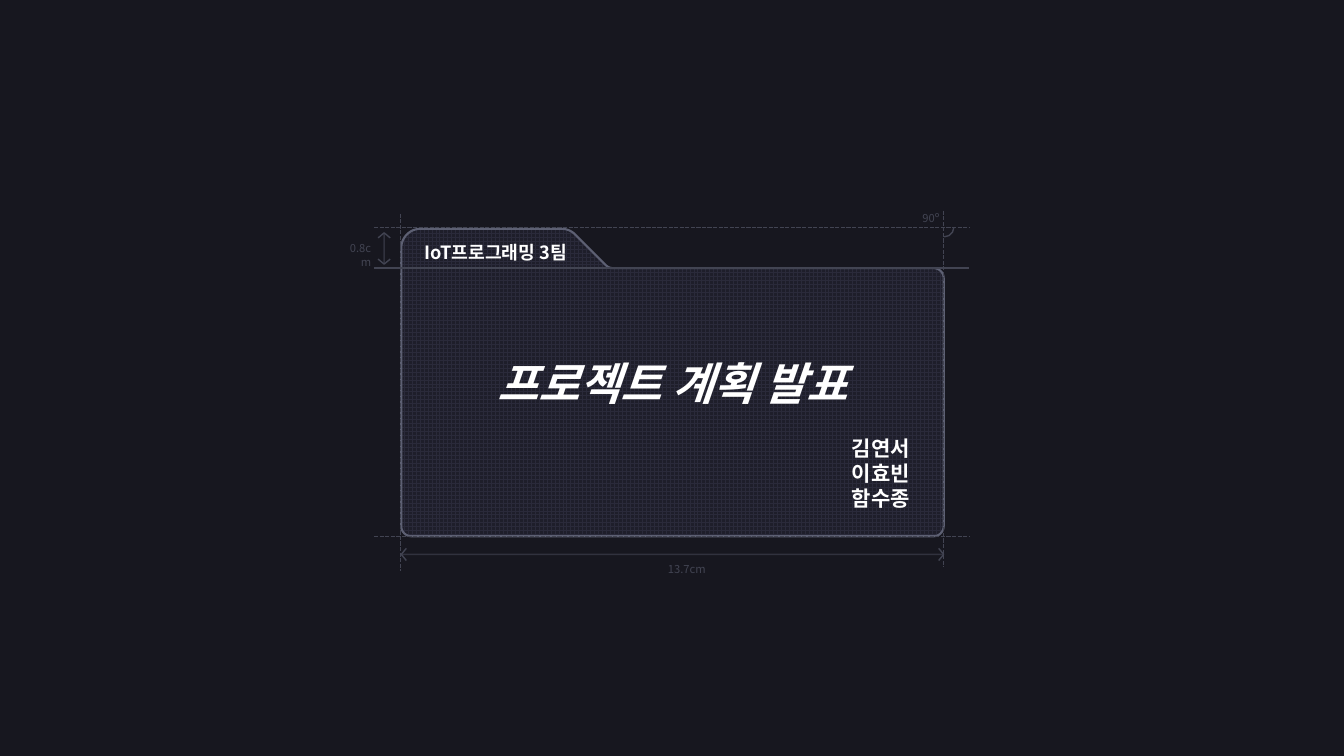
"""Build a dark cover slide with a blueprint-style folder and its dimensions."""
import math

from lxml import etree
from pptx import Presentation, util as u
from pptx.dml.color import RGBColor
from pptx.enum import dml, shapes, text
from pptx.oxml import ns

FONT = "Noto Sans CJK KR"
BACKGROUND = RGBColor(0x17, 0x17, 0x1F)
FOLDER_FILL = RGBColor(0x1E, 0x1E, 0x2A)
FOLDER_GRID = RGBColor(0x2A, 0x2A, 0x3A)
FOLDER_EDGE = RGBColor(0x5D, 0x60, 0x73)
GUIDE = RGBColor(0x42, 0x44, 0x52)
WHITE = RGBColor(0xFF, 0xFF, 0xFF)

LEFT, RIGHT = 3.98, 9.36
TOP, SHOULDER, BOTTOM = 2.27, 2.66, 5.32
GUIDE_LEFT, GUIDE_RIGHT = 3.71, 9.61
HEIGHT_X, WIDTH_Y = 3.81, 5.5
TAB_RADIUS, RADIUS = 0.19, 0.1

presentation = Presentation()
presentation.slide_width = u.Inches(13.33)
presentation.slide_height = u.Inches(7.5)
slide = presentation.slides.add_slide(presentation.slide_layouts[5])
slide.background.fill.solid()
slide.background.fill.fore_color.rgb = BACKGROUND


def add_outline(points, close, color, width):
    points = [(u.Inches(x), u.Inches(y)) for x, y in points]
    builder = slide.shapes.build_freeform(*points[0])
    builder.add_line_segments(points[1:], close=close)
    shape = builder.convert_to_shape()
    shape.shadow.inherit = False
    shape.fill.background()
    shape.line.color.rgb = color
    shape.line.width = u.Pt(width)
    return shape


def write_lines(frame, lines, size, color, align, bold=False, italic=False):
    for index, line in enumerate(lines):
        paragraph = frame.add_paragraph() if index else frame.paragraphs[0]
        paragraph.alignment = align
        run = paragraph.add_run()
        run.text = line
        run.font.name = FONT
        run.font.size = u.Pt(size)
        run.font.bold = bold
        run.font.italic = italic
        run.font.color.rgb = color
        east_asian = etree.SubElement(run.font._element, ns.qn("a:ea"))
        east_asian.set("typeface", FONT)


corners = [
    (LEFT + TAB_RADIUS, TOP + TAB_RADIUS, TAB_RADIUS, 180, 270),
    (5.57, TOP + TAB_RADIUS, TAB_RADIUS, 270, 315),
    (6.08, SHOULDER - RADIUS, RADIUS, 135, 90),
    (RIGHT - RADIUS, SHOULDER + RADIUS, RADIUS, 270, 360),
    (RIGHT - RADIUS, BOTTOM - RADIUS, RADIUS, 0, 90),
    (LEFT + RADIUS, BOTTOM - RADIUS, RADIUS, 90, 180),
]
STEPS = 12
folder_points = []
for center_x, center_y, radius, start, end in corners:
    for step in range(STEPS + 1):
        angle = math.radians(start + (end - start) * step / STEPS)
        folder_points.append((center_x + radius * math.cos(angle),
                              center_y + radius * math.sin(angle)))
folder = add_outline(folder_points, True, FOLDER_EDGE, 1.5)
folder.fill.patterned()
folder.fill.pattern = dml.MSO_PATTERN.LARGE_GRID
folder.fill.fore_color.rgb = FOLDER_GRID
folder.fill.back_color.rgb = FOLDER_FILL

DASHED, SOLID, FAINT = "dashed", "solid", "faint"
guides = [
    (LEFT - 0.01, 2.12, LEFT - 0.01, 5.66, DASHED),
    (GUIDE_LEFT, TOP - 0.01, GUIDE_RIGHT, TOP - 0.01, DASHED),
    (RIGHT, 2.09, RIGHT, 5.63, DASHED),
    (GUIDE_LEFT, SHOULDER, GUIDE_RIGHT, SHOULDER, SOLID),
    (GUIDE_LEFT, BOTTOM, GUIDE_RIGHT, BOTTOM, DASHED),
    (HEIGHT_X, 2.31, HEIGHT_X, 2.62, FAINT),
    (LEFT, WIDTH_Y, RIGHT, WIDTH_Y, FAINT),
]
for x1, y1, x2, y2, style in guides:
    guide = slide.shapes.add_connector(
        shapes.MSO_CONNECTOR.STRAIGHT, *map(u.Inches, (x1, y1, x2, y2)))
    guide.line.color.rgb = GUIDE
    guide.line.width = u.Pt(1)
    if style == DASHED:
        guide.line.dash_style = dml.MSO_LINE.SQUARE_DOT
    properties = guide._element.spPr
    if style == FAINT:
        color = properties.find(".//" + ns.qn("a:srgbClr"))
        etree.SubElement(color, ns.qn("a:alpha")).set("val", "61000")
    etree.SubElement(properties, ns.qn("a:effectLst"))

DEPTH, SPREAD = 0.05, 0.06
arrow_tips = [
    (HEIGHT_X, 2.31, 0, 1),
    (HEIGHT_X, 2.62, 0, -1),
    (LEFT, WIDTH_Y, 1, 0),
    (RIGHT, WIDTH_Y, -1, 0),
]
for x, y, dx, dy in arrow_tips:
    base_x, base_y = x + DEPTH * dx, y + DEPTH * dy
    wing_x, wing_y = SPREAD * abs(dy), SPREAD * abs(dx)
    add_outline([(base_x - wing_x, base_y - wing_y), (x, y),
                 (base_x + wing_x, base_y + wing_y)], False, GUIDE, 1)

right_angle = slide.shapes.add_shape(
    shapes.MSO_SHAPE.ARC, *map(u.Inches, (9.27, 2.16, 0.19, 0.19)))
right_angle.adjustments[0] = 1.326
right_angle.adjustments[1] = 53.741
right_angle.shadow.inherit = False
right_angle.fill.background()
right_angle.line.color.rgb = GUIDE
right_angle.line.width = u.Pt(1)

title = slide.shapes.title
title.left, title.top = u.Inches(LEFT), u.Inches(TOP)
title.width, title.height = u.Inches(RIGHT - LEFT), u.Inches(BOTTOM - TOP)
title.text_frame.vertical_anchor = text.MSO_ANCHOR.MIDDLE
title.text_frame.auto_size = text.MSO_AUTO_SIZE.NONE
write_lines(title.text_frame, ["프로젝트 계획 발표"], 32, WHITE,
            text.PP_ALIGN.CENTER, bold=True, italic=True)
slide.shapes._spTree.append(title._element)

labels = [
    ((3.28, 2.35, 0.5, 0.24), ["0.8cm"], 8, GUIDE, text.PP_ALIGN.RIGHT, True),
    ((9.05, 2.05, 0.41, 0.24), ["90º"], 8, GUIDE, text.PP_ALIGN.LEFT, False),
    ((6.47, 5.53, 0.63, 0.24), ["13.7cm"], 8, GUIDE, text.PP_ALIGN.RIGHT, True),
    ((4, 2.34, 1.83, 0.31), ["IoT프로그래밍 3팀"], 13, WHITE,
     text.PP_ALIGN.CENTER, True),
    ((8.35, 4.27, 0.86, 0.85), ["김연서", "이효빈", "함수종"], 15, WHITE,
     text.PP_ALIGN.LEFT, False),
]
for box, lines, size, color, align, wrap in labels:
    label = slide.shapes.add_textbox(*map(u.Inches, box))
    label.text_frame.word_wrap = wrap
    label.text_frame.auto_size = text.MSO_AUTO_SIZE.SHAPE_TO_FIT_TEXT
    write_lines(label.text_frame, lines, size, color, align, bold=color == WHITE)

presentation.save("out.pptx")
